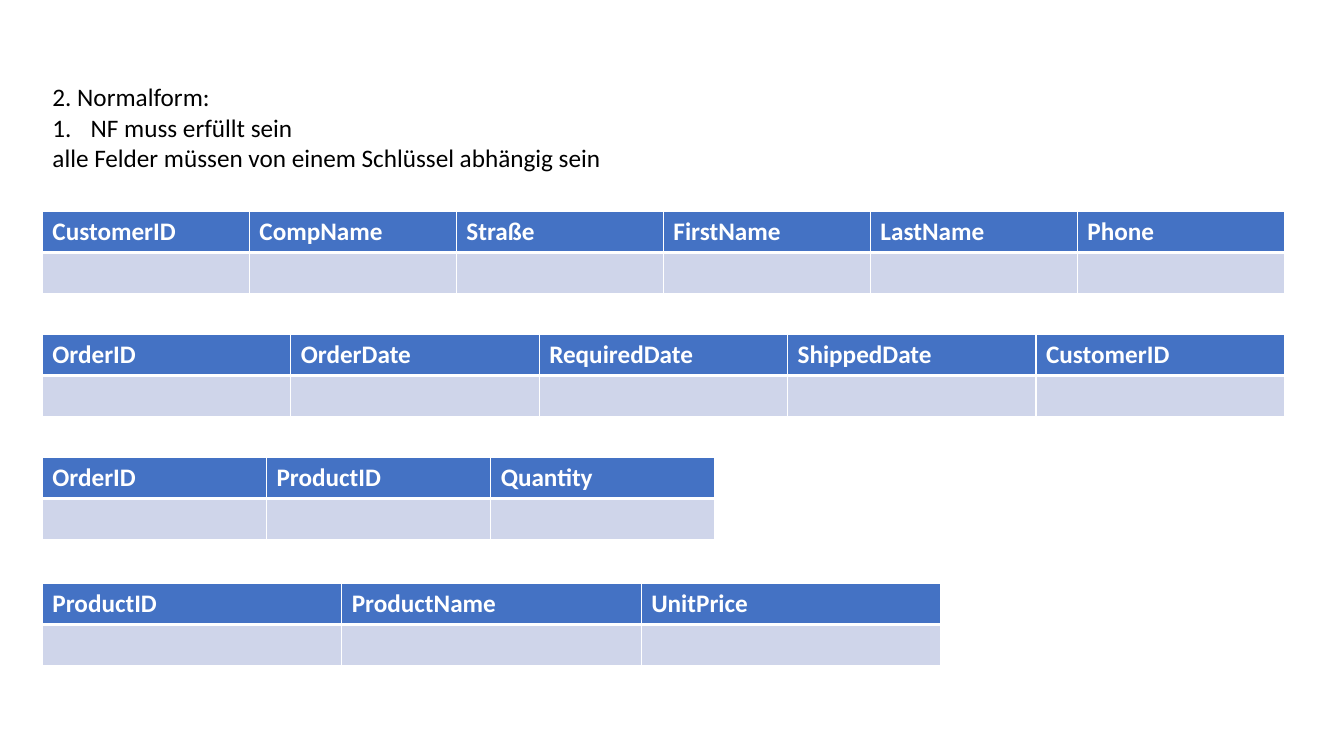
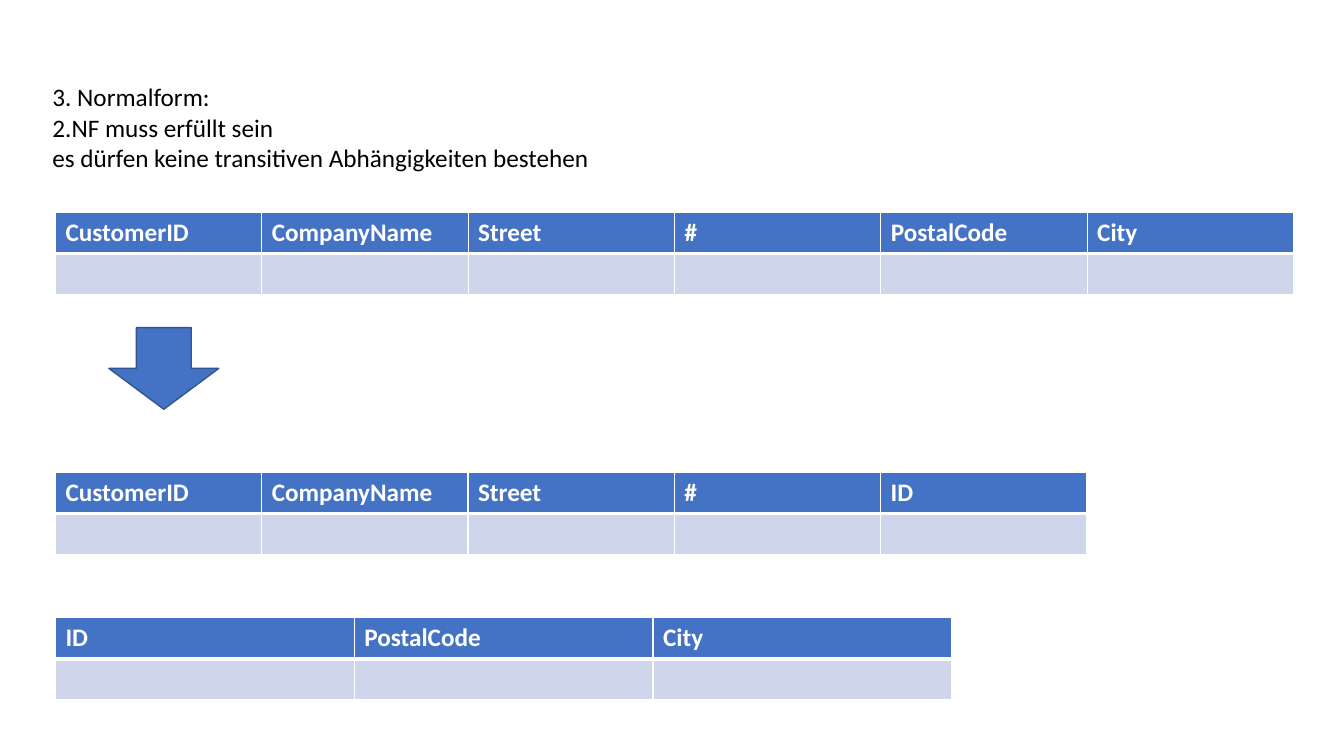
from pptx import Presentation
from pptx.dml.color import RGBColor
from pptx.enum.shapes import MSO_SHAPE
from pptx.enum.text import MSO_ANCHOR, MSO_AUTO_SIZE, PP_ALIGN
from pptx.oxml import parse_xml
from pptx.oxml.ns import nsdecls
from pptx.util import Inches, Pt

DOWN = MSO_SHAPE.DOWN_ARROW
TOP = MSO_ANCHOR.TOP
FIXED = MSO_AUTO_SIZE.NONE
LEFT = PP_ALIGN.LEFT

# Shared look
HUES = {"text": "000000", "head": "4472C4", "row": "CFD5EA",
        "white": "FFFFFF", "edge": "325491"}
FONT = "Calibri"
SIZE = Pt(18)
ROW = 0.405
THIN, THICK = 1, 3

# Tables: top, width, column heads
SECOND = [
    (2.1, 12.32, ["CustomerID", "CompName", "Straße", "FirstName",
                  "LastName", "Phone"]),
    (3.32, 12.32, ["OrderID", "OrderDate", "RequiredDate", "ShippedDate",
                   "CustomerID"]),
    (4.54, 6.67, ["OrderID", "ProductID", "Quantity"]),
    (5.79, 8.91, ["ProductID", "ProductName", "UnitPrice"]),
]
CLIENT = ["CustomerID", "CompanyName", "Street", "#"]
PLACE = ["PostalCode", "City"]
THIRD = [
    (2.11, 12.28, CLIENT + PLACE),
    (4.69, 10.23, CLIENT + ["ID"]),
    (6.13, 8.89, ["ID"] + PLACE),
]


def color(name):
    return RGBColor.from_string(HUES[name])


def paint(shape, name):
    shape.fill.solid()
    shape.fill.fore_color.rgb = color(name)


def write(para, text, hue="text", bold=False):
    para.alignment = LEFT
    para.space_before = Pt(0)
    run = para.add_run()
    run.text = text
    font = run.font
    font.name, font.size, font.bold = FONT, SIZE, bold
    font.color.rgb = color(hue)


def place(holder, top, height):
    """Move a placeholder into the heading block and return its text frame."""
    holder.left, holder.top = Inches(0.42), Inches(top)
    holder.width, holder.height = Inches(6.01), Inches(height)
    frame = holder.text_frame
    frame.auto_size, frame.word_wrap = FIXED, True
    frame.vertical_anchor = TOP
    return frame


def mark(para, numbered):
    """Number a list line, or clear its bullet and indent."""
    props = para._p.get_or_add_pPr()
    indent = Inches(0.38) if numbered else 0
    props.set("marL", str(indent))
    props.set("indent", str(-indent))
    tag = 'buAutoNum type="arabicPeriod"' if numbered else "buNone"
    props.append(parse_xml(f'<a:{tag} {nsdecls("a")}/>'))


def add_page(deck, title, lines):
    """Lines are pairs of text and whether it is numbered."""
    slide = deck.slides.add_slide(deck.slide_layouts[1])
    head = place(slide.shapes.title, 0.76, 0.35)
    head.margin_bottom = 0
    write(head.paragraphs[0], title)

    body = place(slide.placeholders[1], 1.11, 0.66)
    body.margin_top = 0
    for i, (text, numbered) in enumerate(lines):
        para = body.add_paragraph() if i else body.paragraphs[0]
        write(para, text)
        mark(para, numbered)
    return slide


def border(cell, top, bottom):
    props = cell._tc.get_or_add_tcPr()
    sides = {"L": THIN, "R": THIN, "T": top, "B": bottom}
    for i, (side, width) in enumerate(sides.items()):
        props.insert(i, parse_xml(
            f'<a:ln{side} {nsdecls("a")} w="{Pt(width)}"><a:solidFill>'
            f'<a:srgbClr val="{HUES["white"]}"/></a:solidFill></a:ln{side}>'))


def add_grid(slide, left, top, width, heads):
    """Add a table with a head row and one empty row."""
    table = slide.shapes.add_table(
        2, len(heads), Inches(left), Inches(top),
        Inches(width), Inches(2 * ROW)).table
    table.horz_banding = False
    for col, text in enumerate(heads):
        table.columns[col].width = Inches(width / len(heads))
        head, blank = table.cell(0, col), table.cell(1, col)
        write(head.text_frame.paragraphs[0], text, "white", True)
        paint(head, "head")
        paint(blank, "row")
        border(head, THIN, THICK)
        border(blank, THICK, THIN)


def add_arrow(slide, left, top, width, height):
    arrow = slide.shapes.add_shape(
        DOWN, Inches(left), Inches(top), Inches(width), Inches(height))
    arrow.shadow.inherit = False
    paint(arrow, "head")
    arrow.line.color.rgb = color("edge")
    arrow.line.width = Pt(1)


def main():
    deck = Presentation()
    deck.slide_width, deck.slide_height = Inches(13.33), Inches(7.5)

    # Second normal form
    slide = add_page(deck, "2. Normalform:", [
        ("NF muss erfüllt sein", True),
        ("alle Felder müssen von einem Schlüssel abhängig sein", False)])
    for grid in SECOND:
        add_grid(slide, 0.42, *grid)

    # Third normal form
    slide = add_page(deck, "3. Normalform:", [
        ("2.NF muss erfüllt sein", False),
        ("es dürfen keine transitiven Abhängigkeiten bestehen", False)])
    for grid in THIRD:
        add_grid(slide, 0.55, *grid)
    add_arrow(slide, 1.08, 3.25, 1.09, 0.81)

    deck.save("out.pptx")


main()
